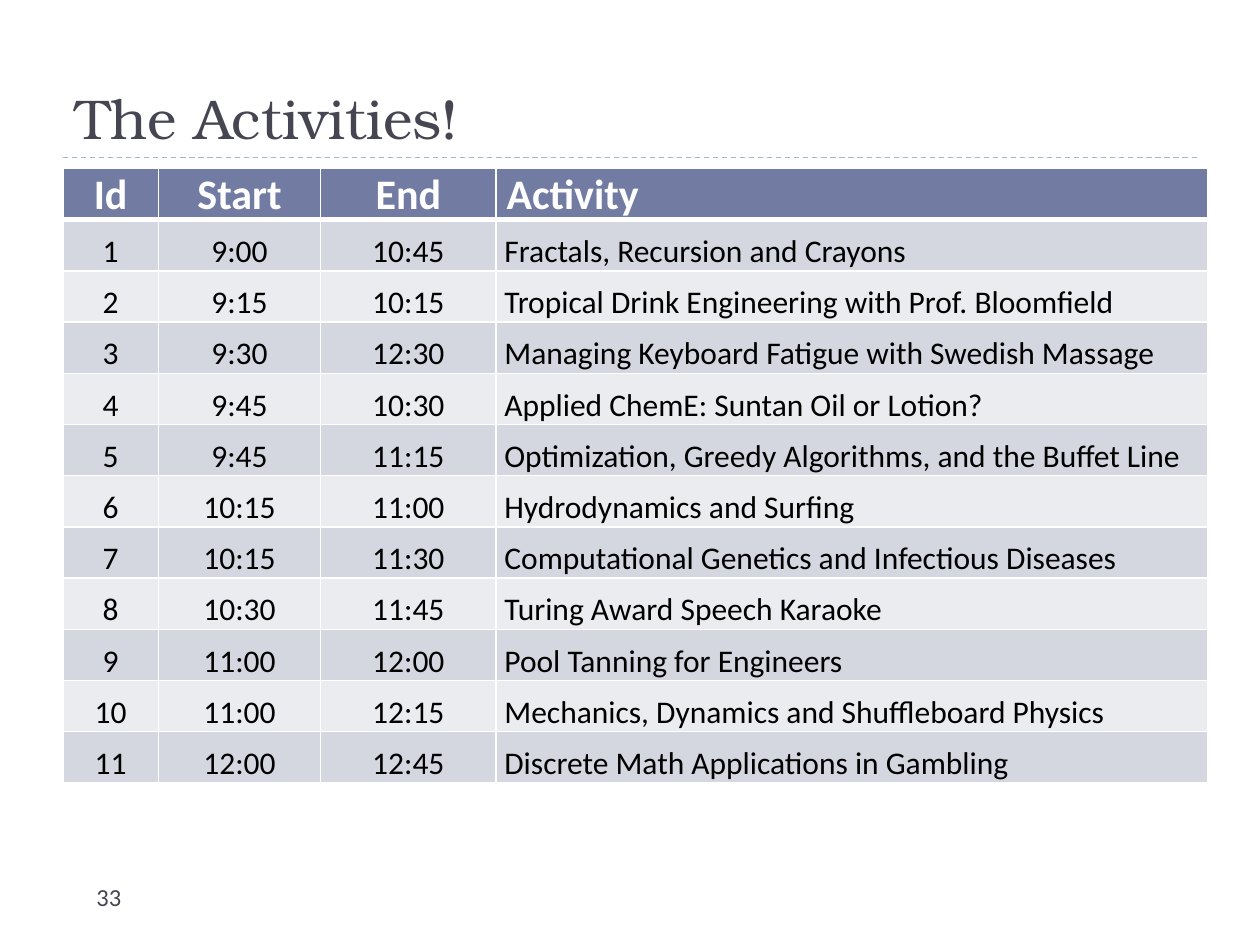
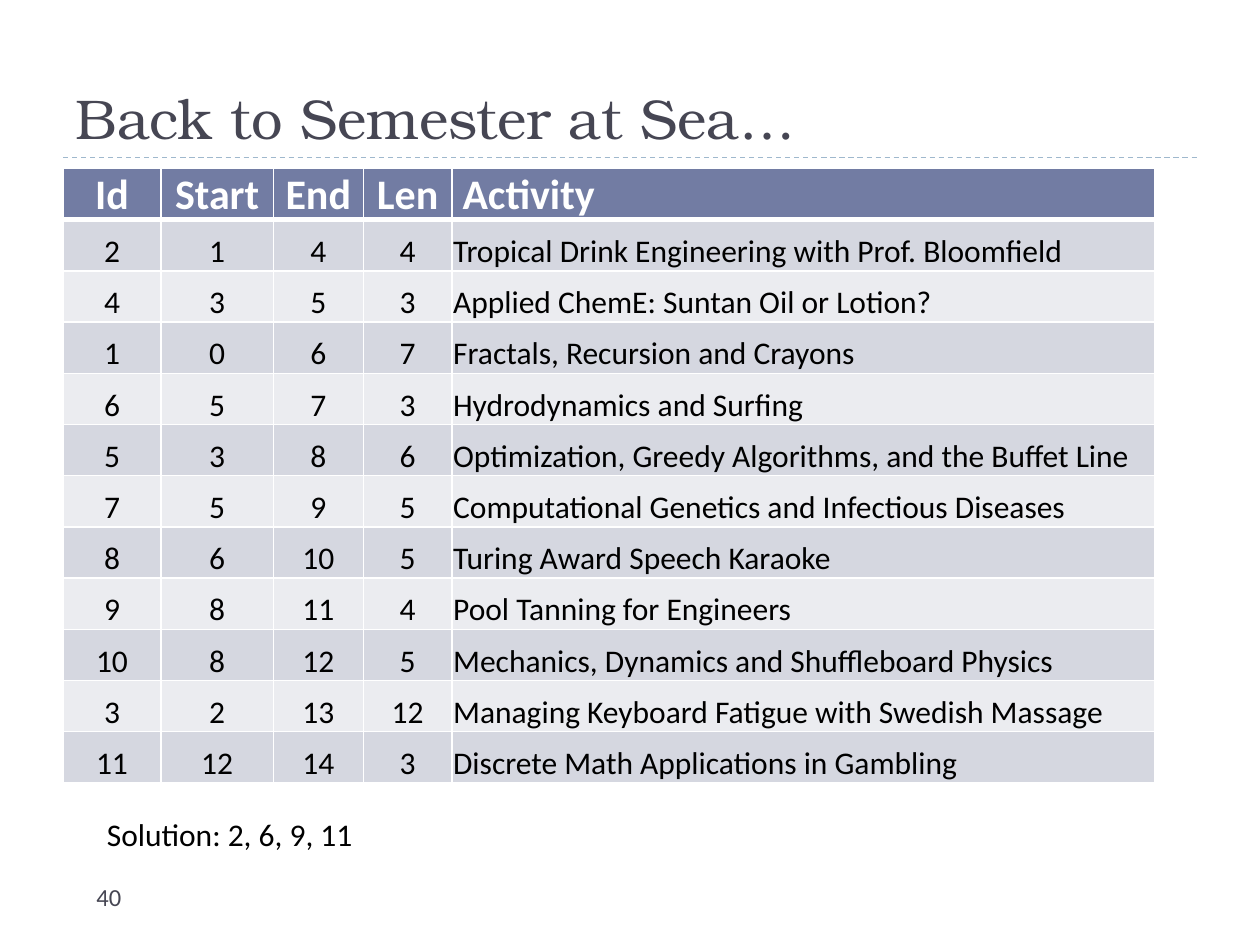
"""Build two slides that list the activities of a scheduling problem as tables."""
from lxml import etree
from pptx import Presentation
from pptx.dml.color import RGBColor
from pptx.enum.dml import MSO_LINE
from pptx.enum.shapes import MSO_CONNECTOR
from pptx.enum.text import MSO_ANCHOR, MSO_AUTO_SIZE, PP_ALIGN
from pptx.oxml.ns import qn
from pptx.util import Pt

LEFT, CENTER = PP_ALIGN.LEFT, PP_ALIGN.CENTER
BOTTOM = MSO_ANCHOR.BOTTOM
NO_AUTOFIT = MSO_AUTO_SIZE.NONE
STRAIGHT, DASH = MSO_CONNECTOR.STRAIGHT, MSO_LINE.DASH

SLATE = RGBColor(0x46, 0x46, 0x53)
RULE_BLUE = RGBColor(0x9F, 0xB8, 0xCD)
HEADER_BLUE = RGBColor(0x72, 0x7C, 0xA3)
DARK_BAND = RGBColor(0xD5, 0xD7, 0xE0)
LIGHT_BAND = RGBColor(0xEB, 0xEC, 0xF0)
WHITE = RGBColor(0xFF, 0xFF, 0xFF)
BLACK = RGBColor(0x00, 0x00, 0x00)
TITLE_FONT, BODY_FONT = "TeX Gyre Bonum", "Calibri"
MARGIN, TABLE_TOP, ROW_HEIGHT = 36, 96, 29.28

ACTIVITIES = {
    1: ("9:00", "10:45", "Fractals, Recursion and Crayons"),
    2: ("9:15", "10:15", "Tropical Drink Engineering with Prof. Bloomfield"),
    3: ("9:30", "12:30", "Managing Keyboard Fatigue with Swedish Massage"),
    4: ("9:45", "10:30", "Applied ChemE: Suntan Oil or Lotion?"),
    5: ("9:45", "11:15", "Optimization, Greedy Algorithms, and the Buffet Line"),
    6: ("10:15", "11:00", "Hydrodynamics and Surfing"),
    7: ("10:15", "11:30", "Computational Genetics and Infectious Diseases"),
    8: ("10:30", "11:45", "Turing Award Speech Karaoke"),
    9: ("11:00", "12:00", "Pool Tanning for Engineers"),
    10: ("11:00", "12:15", "Mechanics, Dynamics and Shuffleboard Physics"),
    11: ("12:00", "12:45", "Discrete Math Applications in Gambling"),
}
SLOTS = [(2, 1, 4), (4, 3, 5), (1, 0, 6), (6, 5, 7), (5, 3, 8), (7, 5, 9),
         (8, 6, 10), (9, 8, 11), (10, 8, 12), (3, 2, 13), (11, 12, 14)]

clock_rows = [("Id", "Start", "End", "Activity")]
clock_rows += [(number, *details) for number, details in ACTIVITIES.items()]
slot_rows = [("Id", "Start", "End", "Len", "Activity")]
slot_rows += [(number, start, end, end - start + 1, ACTIVITIES[number][-1])
              for number, start, end in SLOTS]

PAGES = [
    ("The Activities!", "33", clock_rows, (54.5, 92.8, 100.2, 406.5), 4.8, None),
    ("Back to Semester at Sea…", "40", slot_rows, (56, 64.2, 51.5, 50.6, 401.7), 0.72,
     "Solution: 2, 6, 9, 11"),
]


def write(frame, text, size=18, font=BODY_FONT, color=BLACK, bold=False, align=LEFT):
    """Put one formatted paragraph into a text frame."""
    para = frame.paragraphs[0]
    para.alignment = align
    span = para.add_run()
    span.text = text
    span.font.size = Pt(size)
    span.font.name = font
    span.font.bold = bold
    span.font.color.rgb = color


def add_borders(cell, top, bottom):
    """Give a table cell white borders, with the top and bottom widths in points."""
    properties = cell._tc.get_or_add_tcPr()
    for side, width in (("L", 1), ("R", 1), ("T", top), ("B", bottom)):
        line = etree.SubElement(properties, qn(f"a:ln{side}"), w=str(Pt(width)))
        fill = etree.SubElement(line, qn("a:solidFill"))
        etree.SubElement(fill, qn("a:srgbClr"), val=str(WHITE))


deck = Presentation()
deck.slide_width, deck.slide_height = Pt(720), Pt(540)

for title_text, page_number, rows, widths, activity_indent, solution in PAGES:
    page = deck.slides.add_slide(deck.slide_layouts[5])

    rule = page.shapes.add_connector(STRAIGHT, Pt(MARGIN), Pt(90), Pt(684), Pt(90))
    rule.line.color.rgb = RULE_BLUE
    rule.line.width = Pt(0.75)
    rule.line.dash_style = DASH
    etree.SubElement(rule._element.spPr, qn("a:effectLst"))

    title = page.shapes.title
    title.left, title.top, title.width, title.height = Pt(MARGIN), Pt(12), Pt(648), Pt(78)
    title.text_frame.vertical_anchor = BOTTOM
    title.text_frame.auto_size = NO_AUTOFIT
    write(title.text_frame, title_text, size=32, font=TITLE_FONT, color=SLATE)

    number_box = page.shapes.add_textbox(Pt(48), Pt(500.4), Pt(156), Pt(28.8))
    number_box.text_frame.word_wrap = True
    write(number_box.text_frame, page_number, size=14, color=SLATE)

    table = page.shapes.add_table(
        len(rows), len(widths), Pt(MARGIN), Pt(TABLE_TOP),
        Pt(sum(widths)), Pt(ROW_HEIGHT * len(rows))).table
    for column, width in zip(table.columns, widths):
        column.width = Pt(width)
    for row_index, values in enumerate(rows):
        table.rows[row_index].height = Pt(ROW_HEIGHT)
        is_header = row_index == 0
        band = HEADER_BLUE if is_header else DARK_BAND if row_index % 2 else LIGHT_BAND
        for column_index, value in enumerate(values):
            is_activity = column_index == len(values) - 1
            cell = table.cell(row_index, column_index)
            cell.vertical_anchor = BOTTOM
            cell.margin_left = cell.margin_right = cell.margin_top = Pt(0.72)
            cell.margin_bottom = 0
            if is_activity:
                cell.margin_left = Pt(6.1 if is_header else activity_indent)
            add_borders(cell, top=3 if row_index == 1 else 1, bottom=3 if is_header else 1)
            cell.fill.solid()
            cell.fill.fore_color.rgb = band
            write(cell.text_frame, str(value), size=24 if is_header else 18,
                  color=WHITE if is_header else BLACK, bold=is_header,
                  align=LEFT if is_activity else CENTER)

    if solution:
        solution_box = page.shapes.add_textbox(Pt(54), Pt(462), Pt(258), Pt(31.7))
        solution_box.text_frame.word_wrap = True
        write(solution_box.text_frame, solution)

deck.save("out.pptx")
